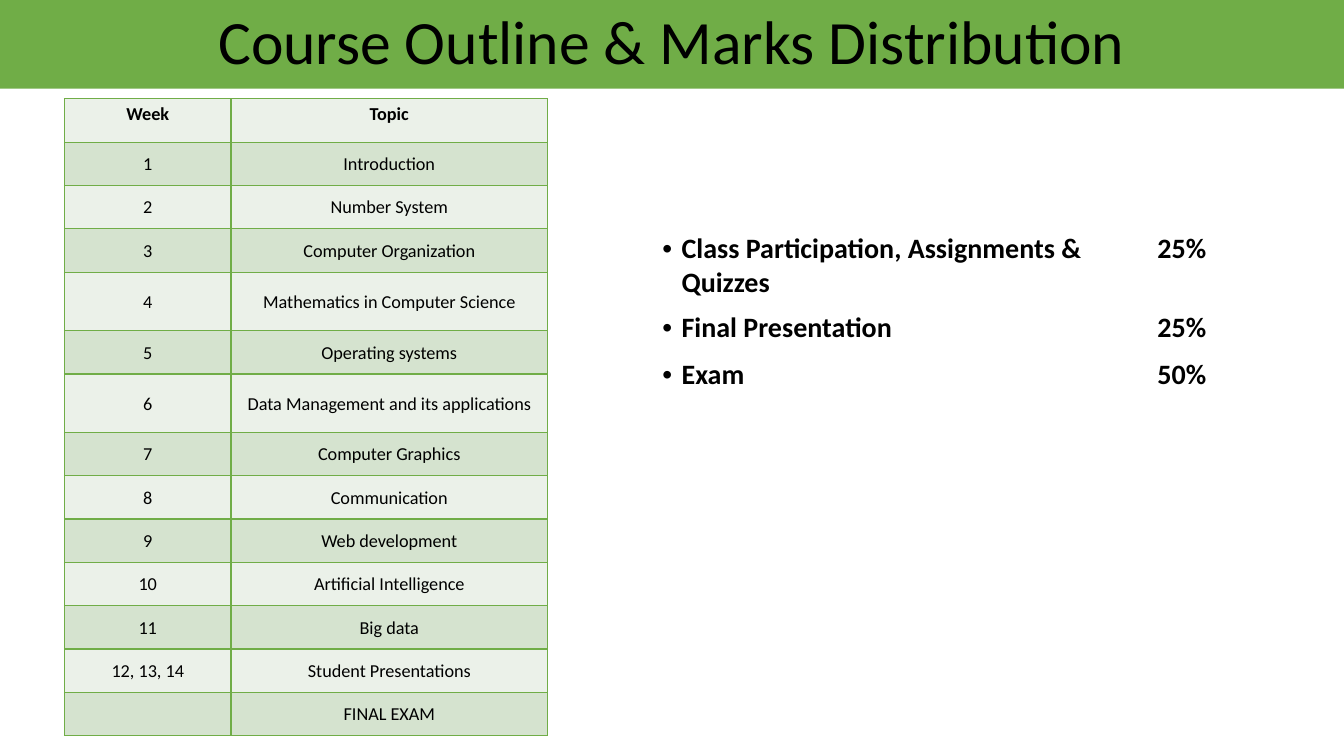
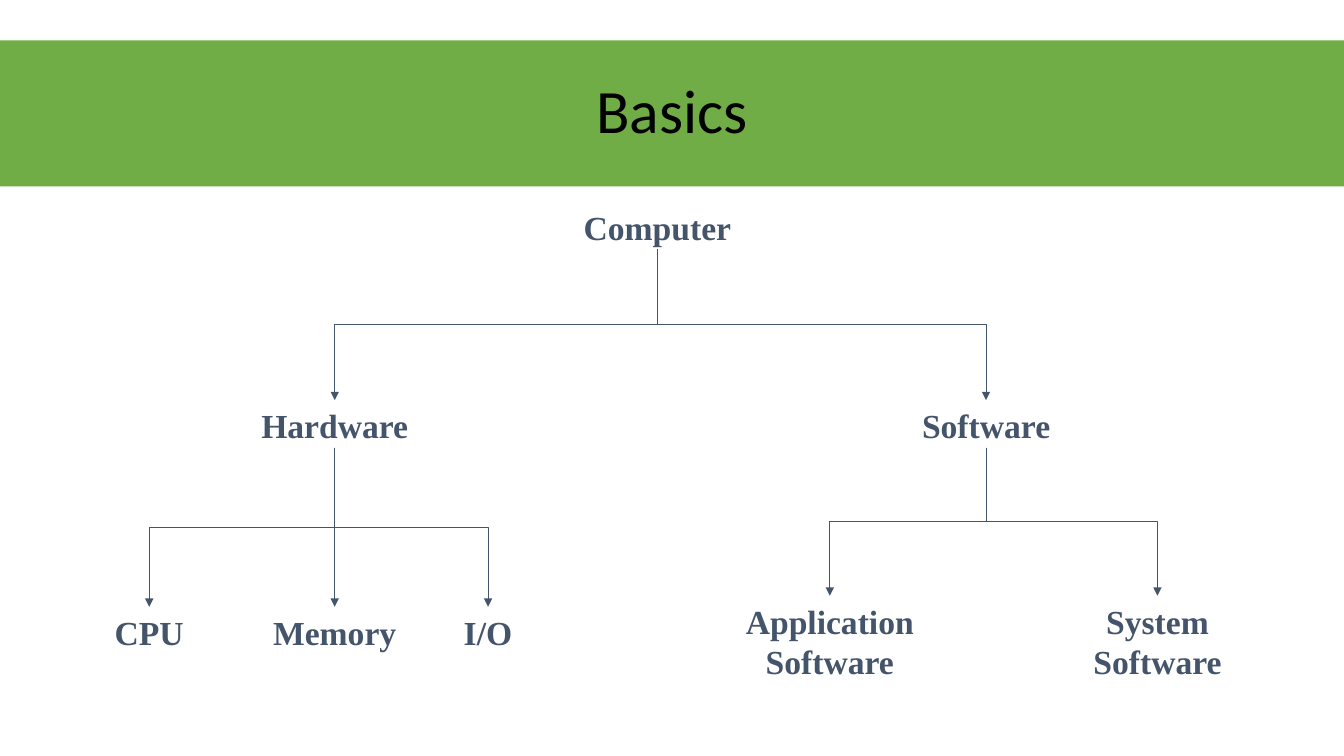
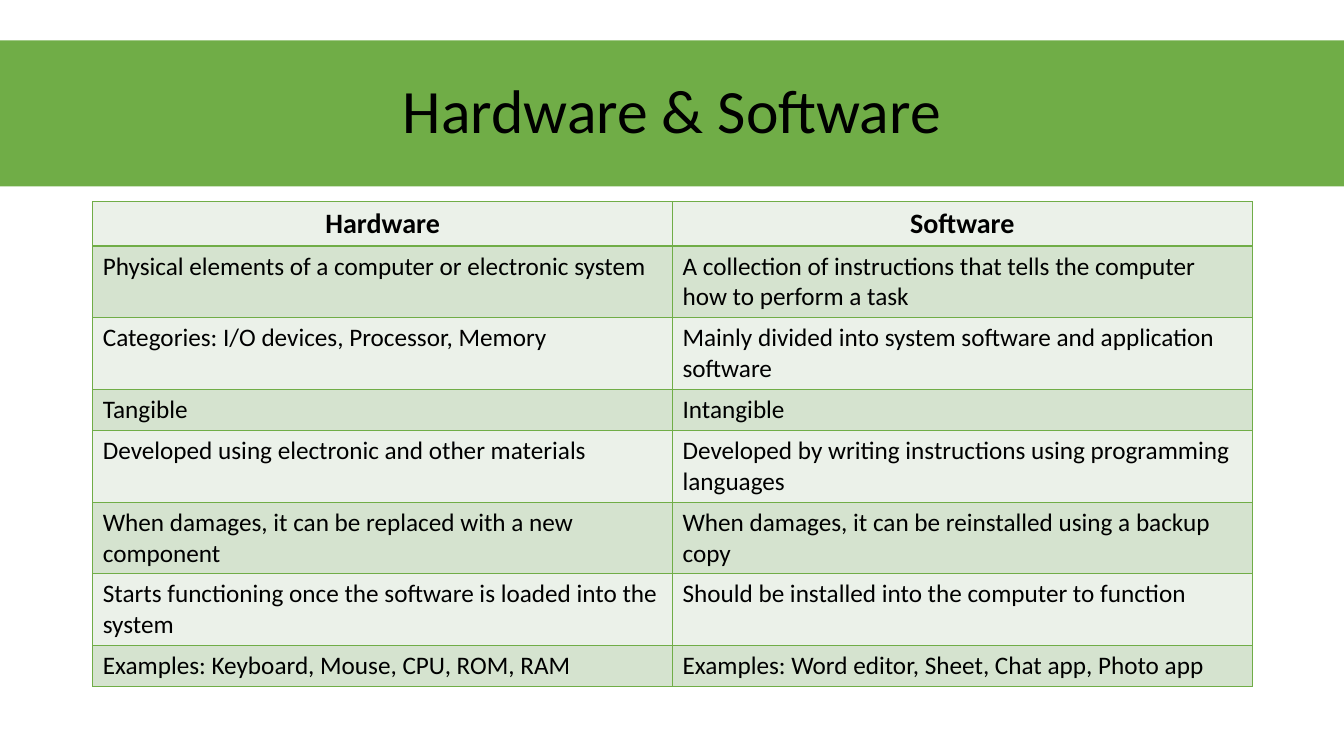
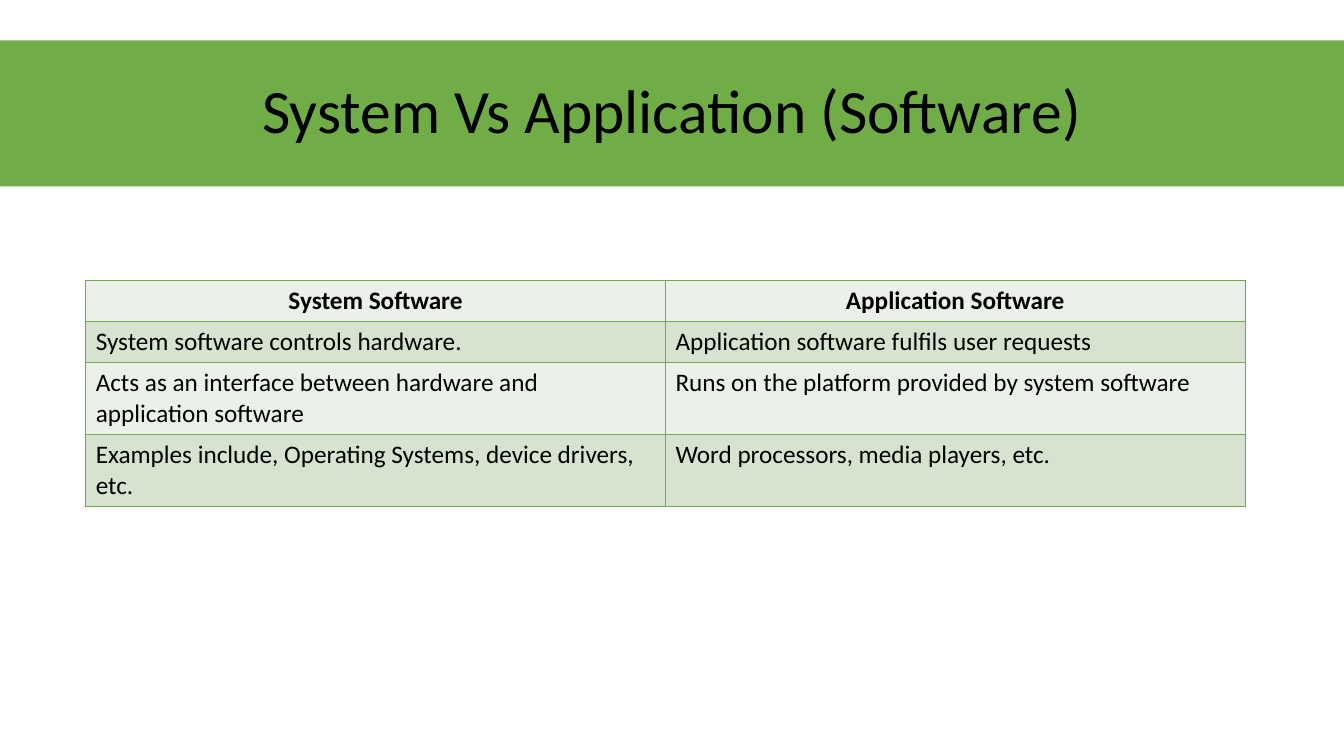
from dataclasses import dataclass

from lxml import etree
from pptx import Presentation
from pptx.dml.color import RGBColor
from pptx.enum.shapes import MSO_CONNECTOR
from pptx.enum.text import MSO_ANCHOR, MSO_AUTO_SIZE, PP_ALIGN
from pptx.oxml.ns import qn
from pptx.util import Inches, Pt

ELBOW, STRAIGHT = MSO_CONNECTOR.ELBOW, MSO_CONNECTOR.STRAIGHT
TOP, MIDDLE = MSO_ANCHOR.TOP, MSO_ANCHOR.MIDDLE
LEFT, CENTER = PP_ALIGN.LEFT, PP_ALIGN.CENTER
NO_FIT, GROW = MSO_AUTO_SIZE.NONE, MSO_AUTO_SIZE.SHAPE_TO_FIT_TEXT

COLORS = {"green": "70AD47", "pale": "EBF1E9", "mid": "D5E3CF",
          "black": "000000", "slate": "44546A"}
SANS, SERIF = "Calibri", "Times New Roman"
WIDTH, HEIGHT = 13.33, 7.5
BOTTOM_SIDE, TOP_SIDE = 2, 0


@dataclass
class Grid:
    """A table: its place, its rows of text and how they are set."""
    left: float
    top: float
    cols: list
    rows: list
    size: float = 18
    head: float = 18
    high: float = 0.41
    tall: tuple = ()
    extra: float = 0.58
    pad: tuple = (0.1, 0.05)
    align: PP_ALIGN = LEFT
    anchor: MSO_ANCHOR = TOP
    gap: float = 1.0
    plain: bool = False


@dataclass
class Node:
    """A label of the tree, centred on mid."""
    text: str
    mid: float
    top: float
    width: float
    above: str = ""


# Content
WEEKS = Grid(0.64, 0.98, [1.65, 3.14], [
    ("Week", "Topic"),
    ("1", "Introduction"),
    ("2", "Number System"),
    ("3", "Computer Organization"),
    ("4", "Mathematics in Computer Science"),
    ("5", "Operating systems"),
    ("6", "Data Management and its applications"),
    ("7", "Computer Graphics"),
    ("8", "Communication"),
    ("9", "Web development"),
    ("10", "Artificial Intelligence"),
    ("11", "Big data"),
    ("12, 13, 14", "Student Presentations"),
    ("", "FINAL EXAM"),
], size=13, head=13, high=0.43, tall=(4, 6), pad=(0.03, 0.03),
    align=CENTER, anchor=MIDDLE, gap=1.06)

MARKS = Grid(6.47, 2.25, [4.91, 1.18], [
    ("Class Participation, Assignments & Quizzes", "25%"),
    ("Final Presentation", "25%"),
    ("Exam", "50%"),
], size=20, high=0.47, tall=(0,), extra=0.69, plain=True)

PARTS = Grid(0.92, 2, [5.75, 5.75], [
    ("Hardware", "Software"),
    ("Physical elements of a computer or electronic system",
     "A collection of instructions that tells the computer how to perform a task"),
    ("Categories: I/O devices, Processor, Memory",
     "Mainly divided into system software and application software"),
    ("Tangible", "Intangible"),
    ("Developed using electronic and other materials",
     "Developed by writing instructions using programming languages"),
    ("When damages, it can be replaced with a new component",
     "When damages, it can be reinstalled using a backup copy"),
    ("Starts functioning once the software is loaded into the system",
     "Should be installed into the computer to function"),
    ("Examples: Keyboard, Mouse, CPU, ROM, RAM",
     "Examples: Word editor, Sheet, Chat app, Photo app"),
], head=20)

KINDS = Grid(0.85, 2.78, [5.75, 5.75], [
    ("System Software", "Application Software"),
    ("System software controls hardware.",
     "Application software fulfils user requests"),
    ("Acts as an interface between hardware and application software",
     "Runs on the platform provided by system software"),
    ("Examples include, Operating Systems, device drivers, etc.",
     "Word processors, media players, etc."),
])

TREE = [
    Node("Computer", 6.52, 2, 2.11),
    Node("Hardware", 3.32, 3.97, 2.11, "Computer"),
    Node("Software", 9.78, 3.97, 1.88, "Computer"),
    Node("Application\nSoftware", 8.23, 5.91, 2.39, "Software"),
    Node("System\nSoftware", 11.48, 5.91, 1.89, "Software"),
    Node("CPU", 1.48, 6.02, 1.13, "Hardware"),
    Node("Memory", 3.32, 6.02, 1.8, "Hardware"),
    Node("I/O", 4.84, 6.02, 0.87, "Hardware"),
]


# Helpers
def paint(color: str) -> RGBColor:
    return RGBColor.from_string(COLORS[color])


def put(thing, values: dict) -> None:
    for name, value in values.items():
        setattr(thing, name, value)


def write(para, text: str, size: float, face: str = SANS,
          color: str = "black", bold: bool = False) -> None:
    run = para.add_run()
    run.text = text
    put(run.font, {"name": face, "size": Pt(size), "bold": bold})
    run.font.color.rgb = paint(color)


def add_slide(deck, title: str, top: float = 0.4, high: float = 1.45):
    """A title-only slide with its title set in a full-width band."""
    slide = deck.slides.add_slide(deck.slide_layouts[5])
    band = slide.shapes.title
    put(band, {"left": 0, "top": Inches(top),
               "width": Inches(WIDTH), "height": Inches(high)})
    band.fill.solid()
    band.fill.fore_color.rgb = paint("green")
    put(band.text_frame, {"vertical_anchor": MIDDLE, "word_wrap": True,
                          "auto_size": NO_FIT})
    para = band.text_frame.paragraphs[0]
    put(para, {"alignment": CENTER, "line_spacing": 0.9})
    write(para, title, 44)
    return slide


def edge(cell) -> None:
    """Green 1 pt border on all four sides."""
    props = cell._tc.get_or_add_tcPr()
    for spot, side in enumerate(("lnL", "lnR", "lnT", "lnB")):
        line = etree.Element(qn(f"a:{side}"), w=str(Pt(1)))
        fill = etree.SubElement(line, qn("a:solidFill"))
        etree.SubElement(fill, qn("a:srgbClr"), val=COLORS["green"])
        props.insert(spot, line)


def bullet(para, hang: float) -> None:
    props = para._p.get_or_add_pPr()
    props.set("marL", str(Inches(hang)))
    props.set("indent", str(-Inches(hang)))
    etree.SubElement(props, qn("a:buFont"), typeface="Arial")
    etree.SubElement(props, qn("a:buChar"), char="•")


def add_grid(slide, grid: Grid) -> None:
    highs = [grid.extra if row in grid.tall else grid.high
             for row in range(len(grid.rows))]
    table = slide.shapes.add_table(
        len(highs), len(grid.cols), Inches(grid.left), Inches(grid.top),
        Inches(sum(grid.cols)), Inches(sum(highs))).table
    put(table, {"first_row": False, "horz_banding": False})
    for col, width in zip(table.columns, grid.cols):
        col.width = Inches(width)
    for row, high in zip(table.rows, highs):
        row.height = Inches(high)

    side, rim = map(Inches, grid.pad)
    for r, texts in enumerate(grid.rows):
        first = r == 0 and not grid.plain
        for c, text in enumerate(texts):
            cell = table.cell(r, c)
            put(cell, {"margin_left": side, "margin_right": side,
                       "margin_top": rim, "margin_bottom": rim,
                       "vertical_anchor": TOP if first else grid.anchor})
            para = cell.text_frame.paragraphs[0]
            put(para, {"alignment": CENTER if first else grid.align,
                       "line_spacing": grid.gap})
            if grid.plain:
                cell.fill.background()
                if c == 0:
                    bullet(para, 0.19)
            else:
                cell.fill.solid()
                cell.fill.fore_color.rgb = paint("mid" if r % 2 else "pale")
                edge(cell)
            if text:
                write(para, text, grid.head if first else grid.size,
                      bold=first or grid.plain)


def add_node(slide, node: Node):
    lines = node.text.split("\n")
    box = slide.shapes.add_textbox(
        Inches(node.mid - node.width / 2), Inches(node.top),
        Inches(node.width), Inches(0.47 + 0.38 * (len(lines) - 1)))
    frame = box.text_frame
    put(frame, {"word_wrap": False, "auto_size": GROW})
    for i, line in enumerate(lines):
        para = frame.add_paragraph() if i else frame.paragraphs[0]
        para.alignment = CENTER
        write(para, line, 24, SERIF, "slate", True)
    return box


def add_link(slide, start, end) -> None:
    """An arrow from the bottom of one box down to the top of another."""
    x1, x2 = (box.left + box.width // 2 for box in (start, end))
    y1, y2 = start.top + start.height, end.top
    run, drop = abs(x2 - x1), y2 - y1
    bent = run > Inches(0.02)
    link = slide.shapes.add_connector(ELBOW if bent else STRAIGHT, x1, y1, x2, y2)
    link.begin_connect(start, BOTTOM_SIDE)
    link.end_connect(end, TOP_SIDE)
    props = link._element.spPr
    if bent:
        # Turn the elbow so that it leaves and arrives vertically
        put(link, {"left": (x1 + x2 - drop) // 2, "top": (y1 + y2 - run) // 2,
                   "width": drop, "height": run})
        right = x2 > x1
        turn = {"rot": 270 * 60000 if right else 90 * 60000,
                "flipH": int(right), "flipV": 0}
        for name, value in turn.items():
            props.find(qn("a:xfrm")).set(name, str(value))
    link.line.width = Pt(0.75)
    link.line.color.rgb = paint("slate")
    etree.SubElement(props.find(qn("a:ln")), qn("a:tailEnd"), type="triangle")
    etree.SubElement(props, qn("a:effectLst"))


def add_tree(slide, nodes: list) -> None:
    boxes = {node.text: add_node(slide, node) for node in nodes}
    for node in nodes:
        if node.above:
            add_link(slide, boxes[node.above], boxes[node.text])


def main() -> None:
    deck = Presentation()
    put(deck, {"slide_width": Inches(WIDTH), "slide_height": Inches(HEIGHT)})

    # Course outline
    outline = add_slide(deck, "Course Outline & Marks Distribution", 0, 0.88)
    add_grid(outline, WEEKS)
    add_grid(outline, MARKS)

    # Tree of computer parts
    add_tree(add_slide(deck, "Basics"), TREE)

    # Comparisons
    add_grid(add_slide(deck, "Hardware & Software"), PARTS)
    add_grid(add_slide(deck, "System Vs Application (Software)"), KINDS)

    deck.save("out.pptx")


if __name__ == "__main__":
    main()
